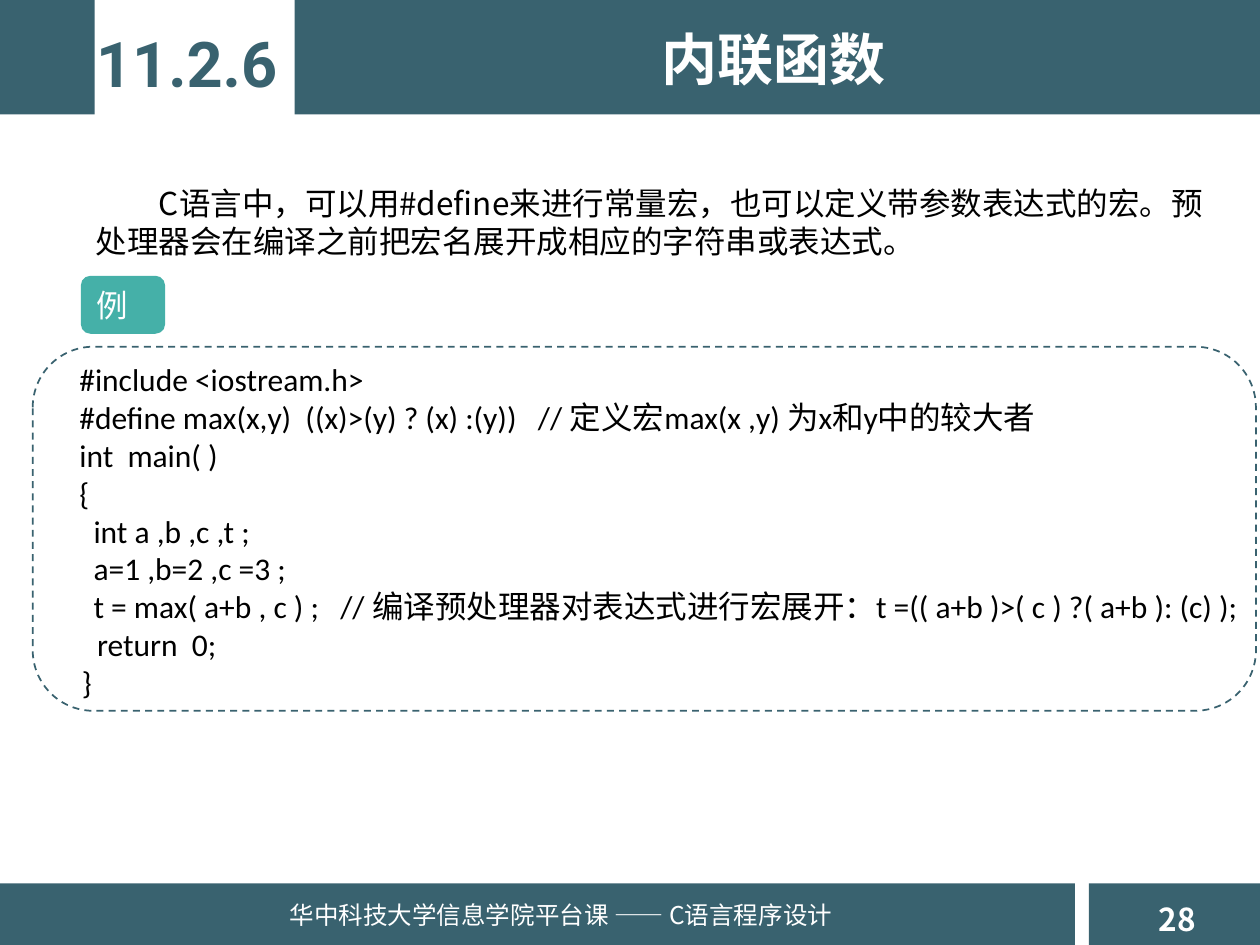
from lxml import etree
from pptx import Presentation
from pptx.dml.color import RGBColor
from pptx.enum import dml, shapes, text
from pptx.oxml import ns
from pptx.util import Cm, Pt

SLATE = RGBColor(0x39, 0x62, 0x6F)
TEAL = RGBColor(0x45, 0xB0, 0xA8)
WHITE = RGBColor(0xFF, 0xFF, 0xFF)
BLACK = RGBColor(0, 0, 0)
CJK = "Noto Sans CJK SC"
LEFT, CENTER, JUSTIFY = text.PP_ALIGN.LEFT, text.PP_ALIGN.CENTER, text.PP_ALIGN.JUSTIFY

BARS = [
    (0, 0, 1.91, 2.31),
    (5.94, 0, 19.46, 2.31),
    (0, 17.81, 21.67, 1.24),
    (21.95, 17.81, 3.45, 1.24),
]
INTRO = (
    "C语言中，可以用#define来进行常量宏，也可以定义带参数表达式的宏。"
    "预处理器会在编译之前把宏名展开成相应的字符串或表达式。"
)
CODE = [
    ("#include <iostream.h>", 0.38),
    ("#define max(x,y)  ((x)>(y) ? (x) :(y))   // 定义宏max(x ,y) 为x和y中的较大者", 0.38),
    ("int  main( )", 0.38),
    ("{", 0.38),
    ("  int a ,b ,c ,t ;", 0.38),
    ("  a=1 ,b=2 ,c =3 ;", 0.38),
    ("  t = max( a+b , c ) ;   // 编译预处理器对表达式进行宏展开：t =(( a+b )>( c ) ?( a+b ): (c) );", 0.38),
    ("return  0;", 0.74),
    ("   }", 0),
]


def write(paragraph, words, size, color, font=CJK, bold=False, align=LEFT, indent=0):
    run = paragraph.add_run()
    run.text = words
    properties = paragraph._p.get_or_add_pPr()
    properties.set("marL", "0")
    properties.set("indent", str(Cm(indent)))
    paragraph.alignment = align
    paragraph.space_before = Pt(0)
    etree.SubElement(properties, ns.qn("a:buNone"))
    paragraph.font.size = Pt(size)
    paragraph.font.bold = bold
    paragraph.font.name = font
    paragraph.font.color.rgb = color
    east_asian = etree.SubElement(run._r.get_or_add_rPr(), ns.qn("a:ea"))
    east_asian.set("typeface", CJK)


def add_block(slide, kind, box, fill=None):
    block = slide.shapes.add_shape(kind, *map(Cm, box))
    block.shadow.inherit = False
    if fill is None:
        block.fill.background()
    else:
        block.fill.solid()
        block.fill.fore_color.rgb = fill
        block.line.fill.background()
    return block


def add_label(slide, box, words, size, color, **style):
    frame = slide.shapes.add_textbox(*map(Cm, box)).text_frame
    frame.word_wrap = False
    write(frame.paragraphs[0], words, size, color, **style)


def fill_placeholder(holder, box, words, size, color, **style):
    holder.left, holder.top, holder.width, holder.height = map(Cm, box)
    frame = holder.text_frame
    frame.auto_size = text.MSO_AUTO_SIZE.NONE
    frame.vertical_anchor = text.MSO_ANCHOR.TOP
    write(frame.paragraphs[0], words, size, color, **style)


def add_code(slide, box):
    frame = slide.shapes.add_textbox(*map(Cm, box)).text_frame
    frame.word_wrap = True
    for number, (line, indent) in enumerate(CODE):
        paragraph = frame.add_paragraph() if number else frame.paragraphs[0]
        align = JUSTIFY if indent else LEFT
        write(paragraph, line, 18, BLACK, font="Calibri", align=align, indent=indent)


def main():
    deck = Presentation()
    deck.slide_width, deck.slide_height = Cm(25.4), Cm(19.05)
    slide = deck.slides.add_slide(deck.slide_layouts[1])
    title, intro = slide.placeholders

    for box in BARS:
        bar = add_block(slide, shapes.MSO_SHAPE.RECTANGLE, box, SLATE)
        title._element.addprevious(bar._element)

    fill_placeholder(title, (7.34, 0.36, 16.51, 1.63), "内联函数", 32, WHITE,
                     bold=True, align=CENTER)
    fill_placeholder(intro, (1.68, 3.58, 23.27, 1.8), INTRO, 18, BLACK, indent=1.27)

    add_label(slide, (23.11, 18.01, 1.4, 1.02), "28", 18, WHITE, bold=True)
    add_label(slide, (5.59, 18.01, 11.68, 2.06),
              "华中科技大学信息学院平台课 —— C语言程序设计", 14, WHITE)
    add_label(slide, (1.68, 0.36, 4.17, 1.8), "11.2.6", 36, SLATE,
              font="Roboto", bold=True, align=CENTER)

    add_code(slide, (0.97, 7.14, 25.45, 7.19))
    border = add_block(slide, shapes.MSO_SHAPE.ROUNDED_RECTANGLE, (0.66, 6.99, 24.66, 7.34))
    border.line.color.rgb = SLATE
    border.line.width = Pt(1)
    border.line.dash_style = dml.MSO_LINE.DASH

    example = add_block(slide, shapes.MSO_SHAPE.ROUNDED_RECTANGLE, (1.63, 5.56, 1.7, 1.17), TEAL)
    example.text_frame.vertical_anchor = text.MSO_ANCHOR.MIDDLE
    write(example.text_frame.paragraphs[0], "例", 18, WHITE)

    deck.save("out.pptx")


if __name__ == "__main__":
    main()
